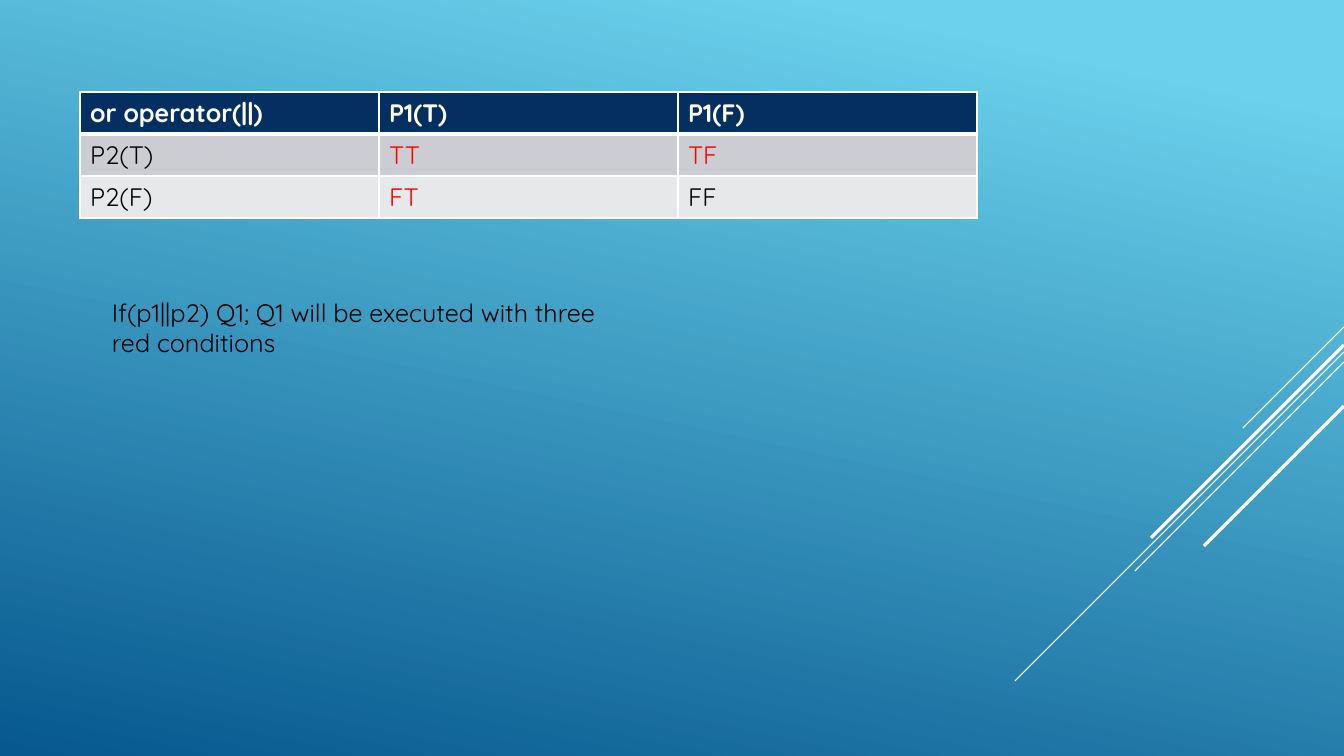
from lxml import etree
from pptx import Presentation
from pptx import util as u
from pptx.dml.color import RGBColor
from pptx.enum import shapes
from pptx.oxml import ns

EMU_PER_PX = 12192000 / 1344
WIDTH, HEIGHT = 1344, 756
FONT, FONT_SIZE = "Quicksand", 18
COLORS = {
    "sky": "6BD1EC", "deep": "06588E", "white": "FFFFFF", "black": "000000",
    "red": "FF0000", "header": "052F61", "band1": "CCCDD2", "band2": "E7E8EA",
}
ROW_FILLS = ["header", "band1", "band2"]
TRUTH_TABLE = [
    ["or operator(||)", "P1(T)", "P1(F)"],
    ["P2(T)", "TT", "TF"],
    ["P2(F)", "FT", "FF"],
]
TRUE_RESULTS = {"TT", "TF", "FT"}
THIN_BORDER, HEADER_BORDER = 0.96, 3
# Top at the right edge, length along each axis, line width in points
DIAGONALS = [(327, 101, 0.75), (352, 329, 0.75), (362, 209, 0.75),
             (345, 193, 2.25), (406, 140, 2.25)]


def px(value):
    return u.Emu(round(value * EMU_PER_PX))


def rgb(name):
    return RGBColor.from_string(COLORS[name])


def add_run(paragraph, content, color, bold=False):
    run = paragraph.add_run()
    run.text = content
    run.font.name = FONT
    run.font.size = u.Pt(FONT_SIZE)
    run.font.bold = bold
    run.font.color.rgb = rgb(color)


def set_background(slide):
    fill = slide.background.fill
    fill.gradient()
    fill.gradient_angle = 360 - 102
    for stop, color, position in zip(fill.gradient_stops, ["sky", "deep"], [0.1, 1]):
        stop.color.rgb = rgb(color)
        stop.position = position


def add_diagonal(slide, top, length, width):
    line = slide.shapes.add_connector(
        shapes.MSO_CONNECTOR.STRAIGHT,
        px(WIDTH), px(top), px(WIDTH - length), px(top + length))
    line.line.color.rgb = rgb("white")
    line.line.width = u.Pt(width)
    etree.SubElement(line._element.spPr, ns.qn("a:effectLst"))


def set_borders(cell, widths):
    properties = cell._tc.get_or_add_tcPr()
    for index, (side, width) in enumerate(widths.items()):
        border = etree.Element(ns.qn(f"a:ln{side}"), w=str(int(u.Pt(width))))
        fill = etree.SubElement(border, ns.qn("a:solidFill"))
        etree.SubElement(fill, ns.qn("a:srgbClr"), val=COLORS["white"])
        properties.insert(index, border)


def add_truth_table(slide, left, top, column_width, row_height):
    rows, columns = len(TRUTH_TABLE), len(TRUTH_TABLE[0])
    table = slide.shapes.add_table(
        rows, columns, px(left), px(top),
        px(column_width * columns), px(row_height * rows)).table
    for row, values in enumerate(TRUTH_TABLE):
        for column, value in enumerate(values):
            cell = table.cell(row, column)
            cell.fill.solid()
            cell.fill.fore_color.rgb = rgb(ROW_FILLS[row])
            set_borders(cell, {
                "L": THIN_BORDER, "R": THIN_BORDER,
                "T": HEADER_BORDER if row == 1 else THIN_BORDER,
                "B": HEADER_BORDER if row == 0 else THIN_BORDER})
            is_header = row == 0
            color = "white" if is_header else "red" if value in TRUE_RESULTS else "black"
            add_run(cell.text_frame.paragraphs[0], value, color, is_header)


def add_note(slide, left, top, width, height, content):
    frame = slide.shapes.add_textbox(px(left), px(top), px(width), px(height)).text_frame
    frame.word_wrap = True
    add_run(frame.paragraphs[0], content, "black")


def main():
    presentation = Presentation()
    presentation.slide_width, presentation.slide_height = px(WIDTH), px(HEIGHT)
    slide = presentation.slides.add_slide(presentation.slide_layouts[6])

    # Backdrop
    set_background(slide)
    for diagonal in DIAGONALS:
        add_diagonal(slide, *diagonal)

    # Truth table and its explanation
    add_truth_table(slide, 80, 92, 299, 42)
    add_note(slide, 102, 292, 524, 70,
             "If(p1||p2) Q1; Q1 will be executed with three red conditions")

    presentation.save("out.pptx")


if __name__ == "__main__":
    main()
